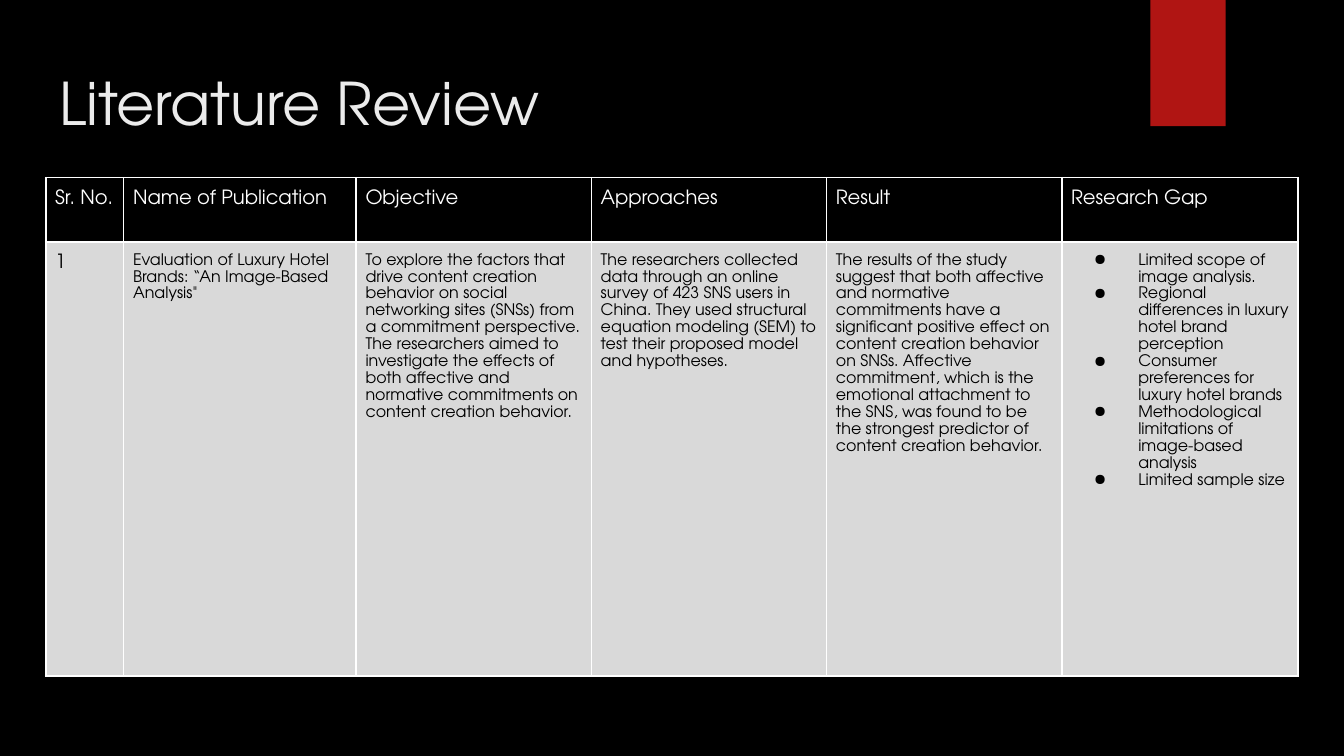
"""Build a literature review slide with a one-entry comparison table."""
from lxml.etree import SubElement
from pptx import Presentation
from pptx.dml.color import RGBColor
from pptx.enum.shapes import MSO_SHAPE
from pptx.enum.text import MSO_ANCHOR, MSO_AUTO_SIZE, PP_ALIGN
from pptx.oxml.ns import qn
from pptx.util import Inches, Pt

BLACK = RGBColor(0x00, 0x00, 0x00)
WHITE = RGBColor(0xFF, 0xFF, 0xFF)
PALE = RGBColor(0xEB, 0xEB, 0xEB)
GREY = RGBColor(0xD9, 0xD9, 0xD9)
RED = RGBColor(0xB0, 0x15, 0x13)

HEADINGS = ["Sr. No.", "Name of Publication", "Objective", "Approaches", "Result", "Research Gap"]
ENTRY = [
    "1",
    "Evaluation of Luxury Hotel Brands: “An Image-Based Analysis\"",
    "To explore the factors that drive content creation behavior on social networking sites (SNSs) "
    "from a commitment perspective. The researchers aimed to investigate the effects of both "
    "affective and normative commitments on content creation behavior.",
    "The researchers collected data through an online survey of 423 SNS users in China. They used "
    "structural equation modeling (SEM) to test their proposed model and hypotheses.",
    "The results of the study suggest that both affective and normative commitments have a "
    "significant positive effect on content creation behavior on SNSs. Affective commitment, which "
    "is the emotional attachment to the SNS, was found to be the strongest predictor of content "
    "creation behavior.",
    [
        "Limited scope of image analysis.",
        "Regional differences in luxury hotel brand perception",
        "Consumer preferences for luxury hotel brands",
        "Methodological limitations of image-based analysis",
        "Limited sample size",
    ],
]
COLUMNS = [5.8, 17.3, 17.5, 17.5, 17.5, 17.6]
ROWS = [8.5, 57.4]


class Slide:
    """Hold the style and the current page, measured on a grid of 100 columns by 100 rows."""

    font_name = "TeX Gyre Adventor"
    large, small = 10.5, 8.5
    padding = Inches(0.07)

    def __init__(self, deck):
        self.column = deck.slide_width / 100
        self.row = deck.slide_height / 100
        self.page = deck.slides.add_slide(deck.slide_layouts[5])
        self.page.background.fill.solid()
        self.page.background.fill.fore_color.rgb = BLACK

    def area(self, left, top, width, height):
        return (round(left * self.column), round(top * self.row),
                round(width * self.column), round(height * self.row))

    def style(self, paragraph, size, color):
        font = paragraph.font
        font.name, font.size, font.color.rgb = self.font_name, Pt(size), color

    def title(self, text, *area):
        box = self.page.shapes.title
        box.left, box.top, box.width, box.height = self.area(*area)
        frame = box.text_frame
        frame.text = text
        frame.auto_size = MSO_AUTO_SIZE.NONE
        frame.vertical_anchor = MSO_ANCHOR.BOTTOM
        frame.margin_left = frame.margin_right = Inches(0.1)
        frame.margin_top = frame.margin_bottom = Inches(0.1)
        paragraph = frame.paragraphs[0]
        paragraph.alignment = PP_ALIGN.LEFT
        self.style(paragraph, 31.5, PALE)

    def ribbon(self, color, *area):
        shape = self.page.shapes.add_shape(MSO_SHAPE.RECTANGLE, *self.area(*area))
        shape.shadow.inherit = False
        shape.fill.solid()
        shape.fill.fore_color.rgb = color
        shape.line.fill.background()

    def table(self, left, top, columns, rows, headings, entry):
        area = self.area(left, top, sum(columns), sum(rows))
        table = self.page.shapes.add_table(len(rows), len(columns), *area).table
        for column, width in zip(table.columns, columns):
            column.width = round(width * self.column)
        for row, height in zip(table.rows, rows):
            row.height = round(height * self.row)
        for index, (heading, content) in enumerate(zip(headings, entry)):
            self.cell(table.cell(0, index), heading, self.large, WHITE, BLACK)
            size = self.small if index else self.large
            self.cell(table.cell(1, index), content, size, BLACK, GREY)

    def cell(self, cell, content, size, color, fill):
        self.borders(cell)
        cell.fill.solid()
        cell.fill.fore_color.rgb = fill
        cell.margin_left = cell.margin_right = self.padding
        cell.margin_top = cell.margin_bottom = self.padding
        bulleted = isinstance(content, list)
        cell.text_frame.text = "\n".join(content) if bulleted else content
        for paragraph in cell.text_frame.paragraphs:
            paragraph.line_spacing = 1.15
            if bulleted:
                self.bullet(paragraph)
            self.style(paragraph, size, color)
            paragraph.font.bold = False

    def borders(self, cell):
        properties = cell._tc.get_or_add_tcPr()
        for side in ("L", "R", "T", "B"):
            line = SubElement(properties, qn(f"a:ln{side}"), w=str(Pt(1)))
            SubElement(SubElement(line, qn("a:solidFill")), qn("a:srgbClr"), val=str(WHITE))

    def bullet(self, paragraph):
        properties = paragraph._p.get_or_add_pPr()
        properties.set("marL", str(Inches(0.5)))
        properties.set("indent", str(Inches(-0.33)))
        SubElement(properties, qn("a:buChar"), char="●")


def main():
    deck = Presentation()
    deck.slide_width = Inches(10)
    deck.slide_height = deck.slide_width * 9 // 16
    slide = Slide(deck)
    slide.ribbon(RED, 85.6, 0, 5.6, 16.7)
    slide.title("Literature Review", 3.4, 3.7, 93.2, 16.2)
    slide.table(3.4, 23.5, COLUMNS, ROWS, HEADINGS, ENTRY)
    deck.save("out.pptx")


if __name__ == "__main__":
    main()
